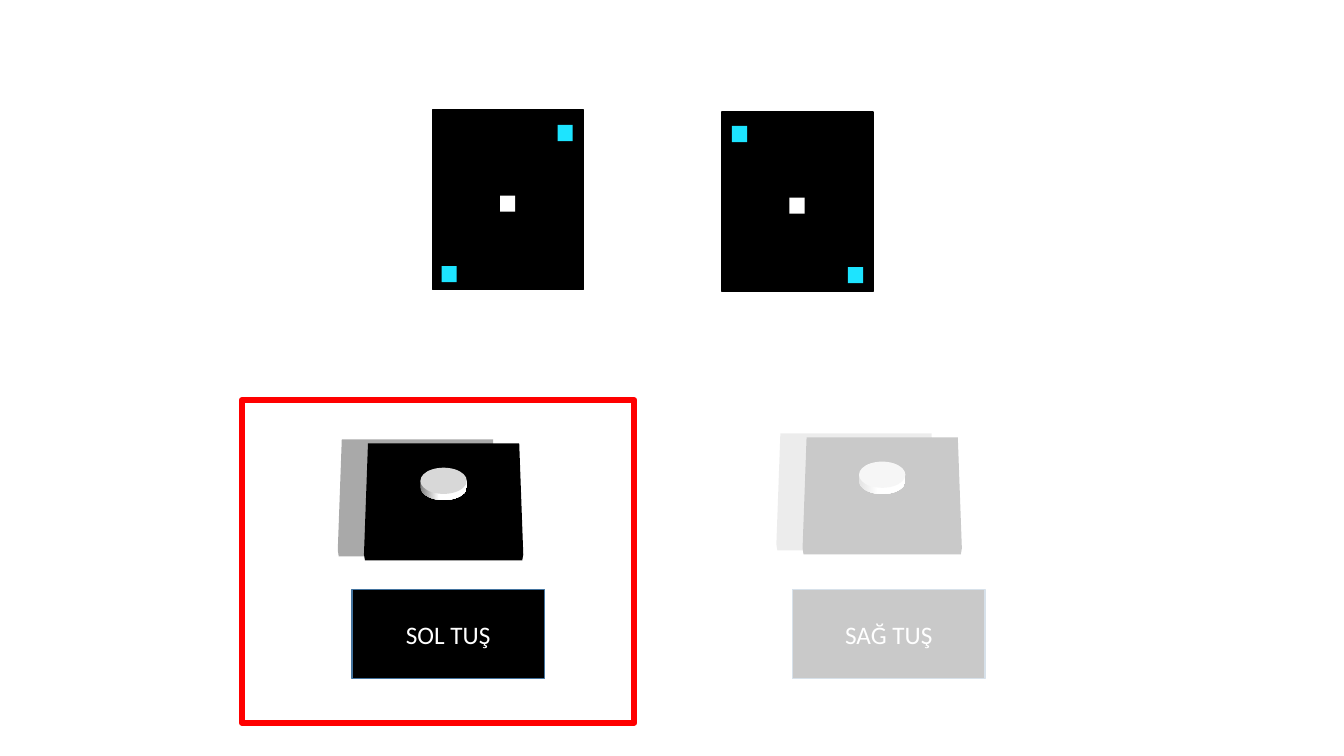
import math
from dataclasses import dataclass

from lxml import etree
from pptx import Presentation
from pptx.dml.color import RGBColor
from pptx.enum import shapes, text
from pptx.oxml import ns
from pptx.util import Inches, Pt


@dataclass(frozen=True)
class Theme:
    """Colours, font and type size of the slide."""
    black: str = "000000"
    white: str = "FFFFFF"
    cyan: str = "1DE4FF"
    red: str = "FF0000"
    border: str = "43739E"
    shade: str = "A9A9A9"
    cap: str = "D8D8D8"
    cap_edge: str = "808080"
    font: str = "Calibri"
    label_size: int = 18


THEME = Theme()
RECT = shapes.MSO_SHAPE.RECTANGLE
OVAL = shapes.MSO_SHAPE.OVAL
KEY_OUTLINE = [(0.04, 0), (1.54, 0), (1.58, 1.1), (1.57, 1.16), (0.01, 1.16), (0, 1.1)]


def paint(sp, fill=None, line=None, width=1):
    """Set the fill and line of a shape and remove its shadow."""
    sp.shadow.inherit = False
    if fill:
        sp.fill.solid()
        sp.fill.fore_color.rgb = RGBColor.from_string(fill)
    else:
        sp.fill.background()
    if line:
        sp.line.color.rgb = RGBColor.from_string(line)
        sp.line.width = Pt(width)
    else:
        sp.line.fill.background()
    return sp


def add_box(parent, box, fill=None, line=None, width=1, kind=RECT):
    """Add a painted preset shape."""
    sp = parent.shapes.add_shape(kind, *map(Inches, box))
    return paint(sp, fill, line, width)


def add_outline(s, points, left, top, fill):
    """Add a closed polygon whose points are relative to left and top."""
    pts = [(Inches(left + x), Inches(top + y)) for x, y in points]
    builder = s.shapes.build_freeform(*pts[0])
    builder.add_line_segments(pts[1:], close=True)
    return paint(builder.convert_to_shape(), fill)


def add_target(s, left, top, dots):
    """Add a grouped black panel with a white centre and cyan dots."""
    group = s.shapes.add_group_shape()
    add_box(group, (left, top, 1.5, 1.78), THEME.black, THEME.black)
    add_box(group, (left + 0.67, top + 0.85, 0.15, 0.16), THEME.white)
    for x, y in dots:
        add_box(group, (left + x, top + y, 0.15, 0.16), THEME.cyan)


def add_key(s, left, top):
    """Add a tilted key plate with its cast shade and round cap."""
    add_outline(s, KEY_OUTLINE, left - 0.26, top - 0.04, THEME.shade)
    add_outline(s, KEY_OUTLINE, left, top, THEME.black)
    rx, ry, depth = 0.23, 0.13, 0.06
    cx, cy = left + 0.79, top + 0.37
    arc = [math.radians(a) for a in range(0, 181, 6)]
    side = [(rx * math.cos(a), depth + ry * math.sin(a)) for a in arc]
    sp = add_outline(s, [(-rx, 0), (rx, 0)] + side, cx, cy, THEME.white)
    sp.fill.gradient()
    sp.fill.gradient_angle = 0
    stops = sp.fill.gradient_stops
    for stop, color, position in zip(stops, (THEME.cap_edge, THEME.white), (0, 0.4)):
        stop.color.rgb = RGBColor.from_string(color)
        stop.position = position
    add_box(s, (cx - rx, cy - ry, 2 * rx, 2 * ry), THEME.cap, kind=OVAL)


def add_label(s, left, caption):
    """Add a black box with a centred caption."""
    sp = add_box(s, (left, 5.85, 1.91, 0.88), THEME.black, THEME.border)
    tf = sp.text_frame
    tf.text = caption
    tf.vertical_anchor = text.MSO_ANCHOR.MIDDLE
    p = tf.paragraphs[0]
    p.alignment = text.PP_ALIGN.CENTER
    r = p.runs[0]
    r.font.name = THEME.font
    r.font.size = Pt(THEME.label_size)
    r.font.color.rgb = RGBColor.from_string(THEME.white)


def add_veil(s, box, opacity):
    """Add a translucent white box; opacity is in percent."""
    sp = add_box(s, box, THEME.white)
    color = sp.fill._xPr.find(".//" + ns.qn("a:srgbClr"))
    etree.SubElement(color, ns.qn("a:alpha")).set("val", str(opacity * 1000))


def main():
    """Build and save the slide."""
    prs = Presentation()
    prs.slide_width, prs.slide_height = Inches(13.33), Inches(7.5)
    s = prs.slides.add_slide(prs.slide_layouts[6])
    add_key(s, 3.61, 4.4)
    add_key(s, 7.96, 4.34)
    add_label(s, 3.49, "SOL TUŞ")
    add_label(s, 7.86, "SAĞ TUŞ")
    add_target(s, 4.29, 1.09, [(0.09, 1.55), (1.24, 0.15)])
    add_target(s, 7.16, 1.11, [(0.1, 0.14), (1.25, 1.54)])
    add_box(s, (2.4, 3.97, 3.89, 3.2), line=THEME.red, width=4.5)
    add_veil(s, (7.04, 3.94, 3.69, 3.32), 79)
    prs.save("out.pptx")


if __name__ == "__main__":
    main()
